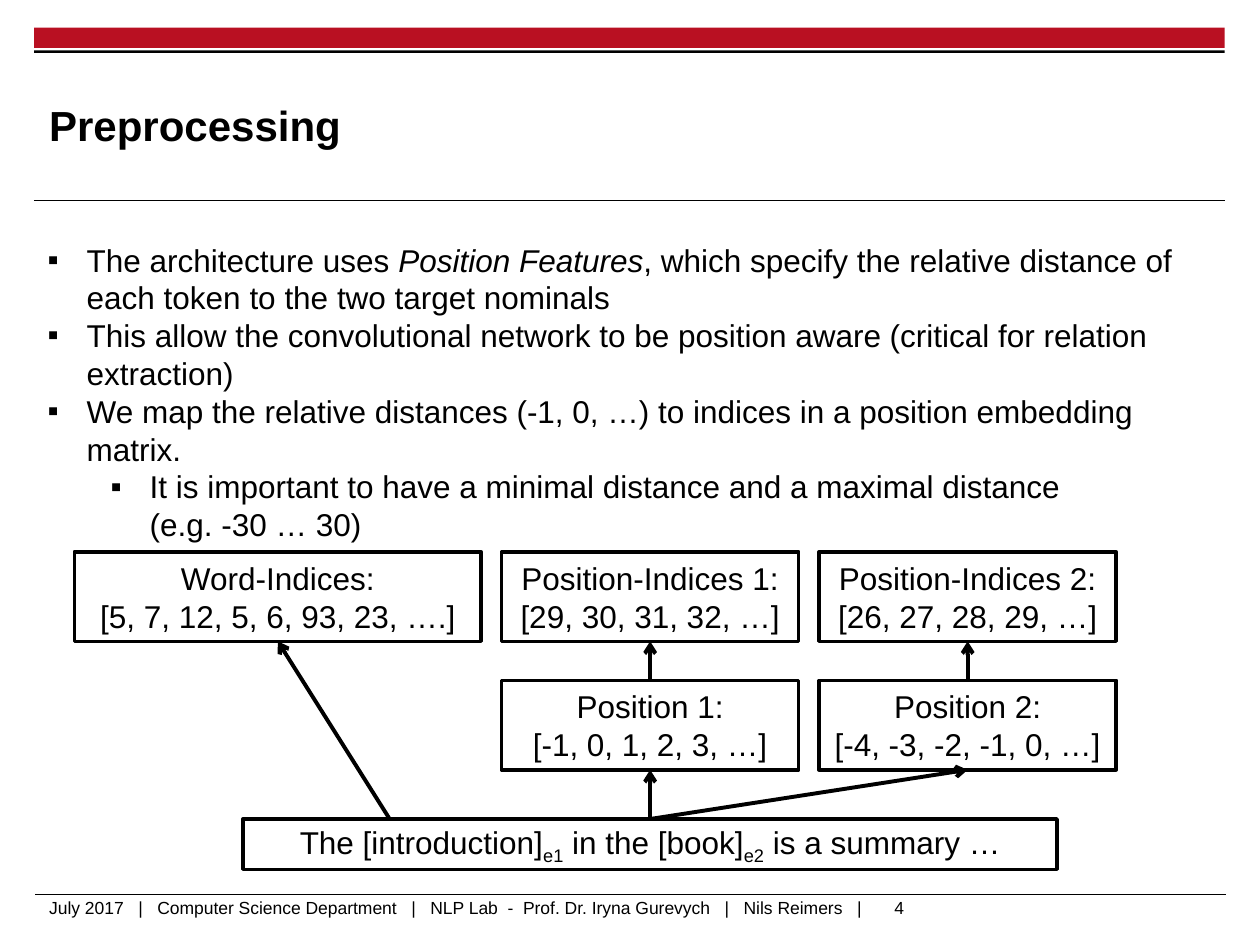
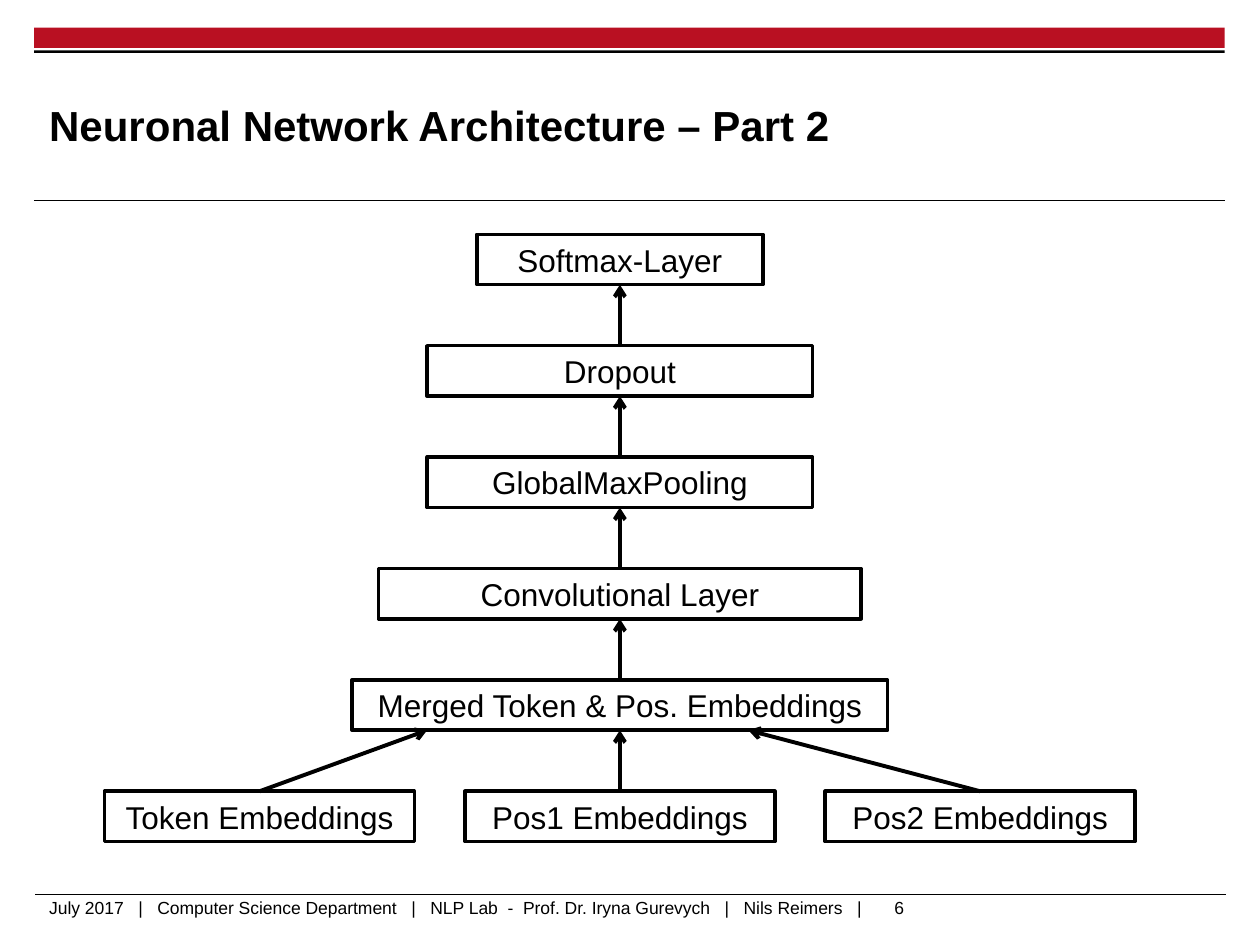
import pptx
import pptx.util
import pptx.dml.color
import pptx.enum.shapes
import pptx.enum.text
import pptx.oxml.ns
from lxml import etree

Inches = pptx.util.Inches
Pt = pptx.util.Pt
ALIGN = pptx.enum.text.PP_ALIGN
ANCHOR = pptx.enum.text.MSO_ANCHOR
RECT = pptx.enum.shapes.MSO_SHAPE.RECTANGLE
STRAIGHT = pptx.enum.shapes.MSO_CONNECTOR.STRAIGHT
qn = pptx.oxml.ns.qn

RED = pptx.dml.color.RGBColor(0xB9, 0x10, 0x22)
BLACK = pptx.dml.color.RGBColor(0, 0, 0)
FONT = "Arial"
EDGE, SPAN = 0.27, 9.45
FOOTER = ("July 2017   |   Computer Science Department   |   NLP Lab  -  "
          "Prof. Dr. Iryna Gurevych   |   Nils Reimers   |")


def write(frame, *paras, size=18, bold=False, align=ALIGN.LEFT,
          anchor=ANCHOR.TOP, inset=None, wrap=True, levels=None):
    """Fill a frame; a paragraph is a string or a list of (text, style) runs."""
    frame.word_wrap = wrap
    frame.vertical_anchor = anchor
    if inset is not None:
        frame.margin_left = frame.margin_right = Inches(inset)
        frame.margin_top = frame.margin_bottom = Inches(inset)
    for i, runs in enumerate(paras):
        para = frame.paragraphs[0] if i == 0 else frame.add_paragraph()
        para.alignment = align
        for text, style in [(runs, "")] if isinstance(runs, str) else runs:
            for n, line in enumerate(text.split("\n")):
                if n:
                    para.add_line_break()
                run = para.add_run()
                run.text = line
                font = run.font
                font.name, font.size, font.bold = FONT, Pt(size), bold
                font.color.rgb = BLACK
                if style == "italic":
                    font.italic = True
                elif style == "sub":
                    run._r.get_or_add_rPr().set("baseline", "-25000")
        if levels:
            bullet(para, levels[i])


def bullet(para, level):
    """Give a paragraph a square bullet with a hanging indent."""
    para.level = level
    props = para._p.get_or_add_pPr()
    props.set("marL", str(Inches(0.31 + 0.5 * level)))
    props.set("indent", str(-Inches(0.31)))
    etree.SubElement(props, qn("a:buFont")).set("typeface", FONT)
    etree.SubElement(props, qn("a:buChar")).set("char", "▪")


def label(slide, left, top, width, height, *paras, **style):
    """Add a text box."""
    box = slide.shapes.add_textbox(
        Inches(left), Inches(top), Inches(width), Inches(height))
    write(box.text_frame, *paras, **style)


def block(slide, left, top, width, height, fill=None):
    """Add a rectangle: a filled bar, or an outlined box without fill."""
    shape = slide.shapes.add_shape(
        RECT, Inches(left), Inches(top), Inches(width), Inches(height))
    shape.shadow.inherit = False
    if fill is None:
        shape.fill.background()
        shape.line.color.rgb = BLACK
        shape.line.width = Pt(2)
    else:
        shape.fill.solid()
        shape.fill.fore_color.rgb = fill
        shape.line.fill.background()
    return shape


def node(slide, left, top, width, height, *paras):
    """Add an outlined box with centred text."""
    shape = block(slide, left, top, width, height)
    write(shape.text_frame, *paras, align=ALIGN.CENTER, anchor=ANCHOR.MIDDLE)
    return shape


def stroke(slide, x1, y1, x2, y2, weight):
    """Add a plain black line between two points."""
    line = slide.shapes.add_connector(STRAIGHT, x1, y1, x2, y2)
    line.line.color.rgb = BLACK
    line.line.width = Pt(weight)
    etree.SubElement(line._element.spPr, qn("a:effectLst"))
    return line


def link(slide, low, high, start=0.5, tip=0.5):
    """Draw an arrow up from low to high, at these shares of their widths."""
    line = stroke(slide, low.left + int(low.width * start), low.top,
                  high.left + int(high.width * tip), high.top + high.height,
                  2.25)
    if start == 0.5:
        line.begin_connect(low, 0)
    if tip == 0.5:
        line.end_connect(high, 2)
    etree.SubElement(line.line._get_or_add_ln(),
                     qn("a:tailEnd")).set("type", "arrow")


def page(deck, title, number):
    """Add a slide with its title, bands, rules and footer."""
    slide = deck.slides.add_slide(deck.slide_layouts[5])
    block(slide, EDGE, 0.22, SPAN, 0.16, RED)
    block(slide, EDGE, 0.4, SPAN, 0.02, BLACK)
    for left, top in ((EDGE, 1.59), (EDGE + 0.01, 7.1)):
        stroke(slide, Inches(left), Inches(top),
               Inches(left + SPAN), Inches(top), 0.6)
    label(slide, 7, 7.07, 0.48, 0.27, str(number), size=10, wrap=False)
    label(slide, 0.39, 7.12, 8.7, 0.25, FOOTER, size=10, inset=0)
    head = slide.shapes.title
    head.left, head.top = Inches(0.39), Inches(0.53)
    head.width, head.height = Inches(7.52), Inches(0.92)
    write(head.text_frame, title, size=24, bold=True,
          anchor=ANCHOR.MIDDLE, inset=0)
    return slide


def points(slide, left, top, width, height):
    """Place the bullets on position features."""
    label(slide, left, top, width, height,
          [("The architecture uses ", ""), ("Position Features", "italic"),
           (", which specify the relative distance of each token to the "
            "two target nominals", "")],
          "This allow the convolutional network to be position aware "
          "(critical for relation extraction)",
          "We map the relative distances (-1, 0, …) to indices in a "
          "position embedding matrix.",
          "It is important to have a minimal distance and a maximal "
          "distance \n(e.g. -30 … 30)",
          levels=(0, 0, 0, 1))


def lookup(slide, left, top):
    """Place the flow from the sentence up to its index lists."""
    tall = 0.71
    text = node(slide, left + 1.34, top + 2.12, 6.46, 0.4,
                [("The [introduction]", ""), ("e1", "sub"),
                 (" in the [book]", ""), ("e2", "sub"),
                 (" is a summary …", "")])
    words = node(slide, left, top, 3.23, tall,
                 "Word-Indices:", "[5, 7, 12, 5, 6, 93, 23, ….]")
    link(slide, text, words, start=0.18)
    columns = (("[-1, 0, 1, 2, 3, …]", "[29, 30, 31, 32, …]"),
               ("[-4, -3, -2, -1, 0, …]", "[26, 27, 28, 29, …]"))
    for i, (offsets, indices) in enumerate(columns):
        x = left + 3.39 + 2.52 * i
        low = node(slide, x, top + 1.02, 2.36, tall,
                   f"Position {i + 1}:", offsets)
        high = node(slide, x, top, 2.36, tall,
                    f"Position-Indices {i + 1}:", indices)
        link(slide, text, low)
        link(slide, low, high)


def layers(slide, left, top, width):
    """Place the network as a centred stack over its three inputs."""
    pitch, tall = 0.884, 0.4
    stack = (("Softmax-Layer", 2.27), ("Dropout", 3.06),
             ("GlobalMaxPooling", 3.06), ("Convolutional Layer", 3.83),
             ("Merged Token & Pos. Embeddings", 4.25))
    above = None
    for i, (name, wide) in enumerate(stack):
        shape = node(slide, left + (width - wide) / 2, top + pitch * i,
                     wide, tall, name)
        if above is not None:
            link(slide, shape, above)
        above = shape
    wide = 2.46
    step = (width - wide) / 2
    for i, (name, tip) in enumerate((("Token", 0.14), ("Pos1", 0.5),
                                     ("Pos2", 0.74))):
        shape = node(slide, left + step * i, top + pitch * len(stack),
                     wide, tall, f"{name} Embeddings")
        link(slide, shape, above, tip=tip)


deck = pptx.Presentation()
deck.slide_width, deck.slide_height = Inches(10), Inches(7.5)

slide = page(deck, "Preprocessing", 4)
points(slide, 0.28, 1.86, SPAN, 2.52)
lookup(slide, 0.59, 4.38)

slide = page(deck, "Neuronal Network Architecture – Part 2", 6)
layers(slide, 0.83, 1.86, 8.18)

deck.save("out.pptx")
